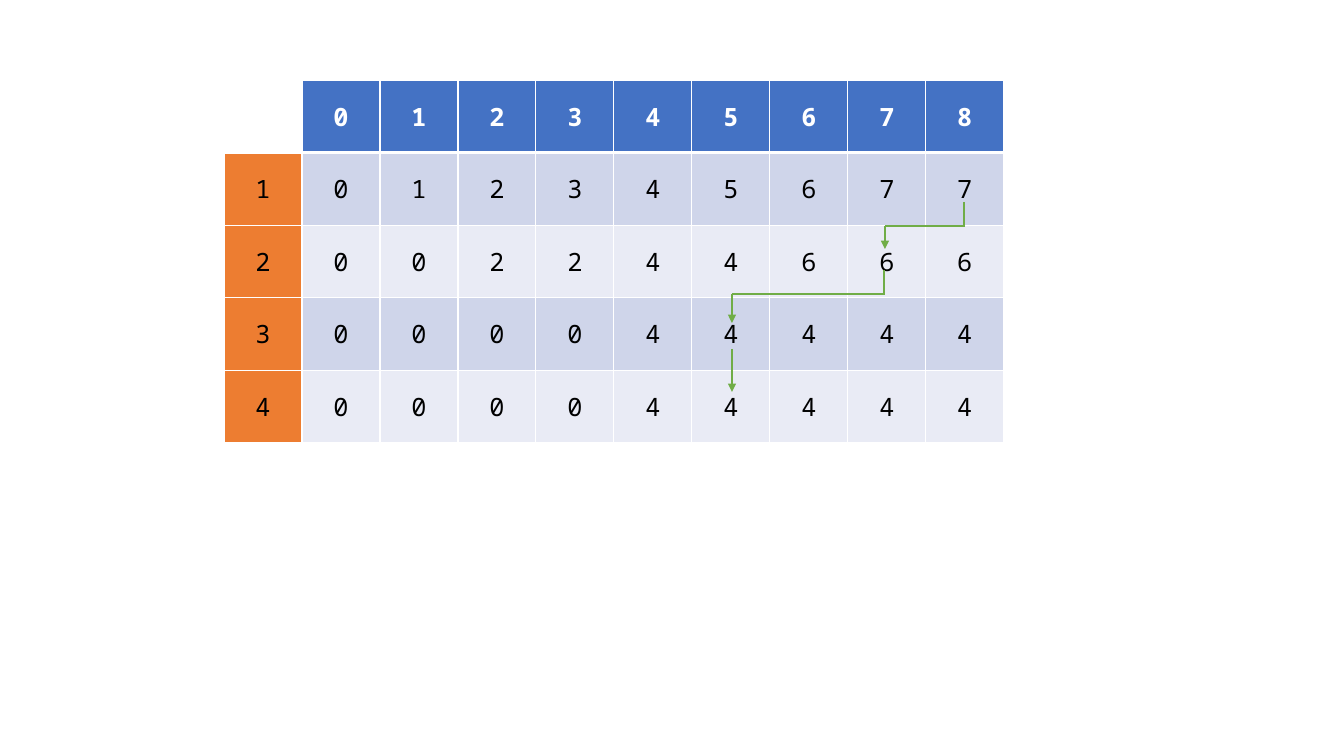
from lxml.etree import SubElement
from pptx import Presentation
from pptx.dml.color import RGBColor
from pptx.enum.shapes import MSO_CONNECTOR as CONNECTOR
from pptx.enum.text import MSO_ANCHOR as ANCHOR, PP_ALIGN as ALIGN
from pptx.oxml import parse_xml
from pptx.oxml.ns import nsdecls, qn
from pptx.util import Pt

CAPACITIES = ["", 0, 1, 2, 3, 4, 5, 6, 7, 8]
ITEM_ROWS = [
    [1, 0, 1, 2, 3, 4, 5, 6, 7, 7],
    [2, 0, 0, 2, 2, 4, 4, 6, 6, 6],
    [3, 0, 0, 0, 0, 4, 4, 4, 4, 4],
    [4, 0, 0, 0, 0, 4, 4, 4, 4, 4],
]
TRACE_PATHS = [
    [(964, 202), (964, 226), (885, 226), (885, 249)],
    [(884, 270), (884, 294), (732, 294), (732, 323)],
    [(732, 349), (732, 392)],
]

THEME = {
    "font": "Noto Sans Mono", "size": 18,
    "header": "4472C4", "item": "ED7D31", "bands": ["CFD5EA", "E9EBF5"],
    "white": "FFFFFF", "text": "000000", "trace": "70AD47",
    "border": 1, "header_border": 3, "trace_width": 2,
}
SLIDE_SIZE = (1344, 756)
TABLE_BOX = (224, 80, 780, 363)
CORNER_OVERLAP = 1


def px(pixels):
    """Turn pixels into EMU."""
    return round(pixels * 914400 / 100.8)


def cell_format(row, column):
    """Return the fill and the font values for a cell's place."""
    header = row == 0
    if header:
        fill = THEME["header"] if column else THEME["white"]
    else:
        fill = THEME["bands"][(row - 1) % 2] if column else THEME["item"]
    color = THEME["white"] if header else THEME["text"]
    return fill, color, {"name": THEME["font"], "size": Pt(THEME["size"]), "bold": header}


def set_borders(cell, row):
    """Draw white cell borders, thicker below the header."""
    widths = dict.fromkeys("LRTB", THEME["border"])
    if row < 2:
        widths["B" if row == 0 else "T"] = THEME["header_border"]
    properties = cell._tc.get_or_add_tcPr()
    for index, (side, width) in enumerate(widths.items()):
        properties.insert(index, parse_xml(
            f'<a:ln{side} {nsdecls("a")} w="{Pt(width)}"><a:solidFill>'
            f'<a:srgbClr val="{THEME["white"]}"/></a:solidFill></a:ln{side}>'))


def fill_cell(cell, value, row, column):
    """Write one value and style its cell."""
    fill, color, font_values = cell_format(row, column)
    cell.fill.solid()
    cell.fill.fore_color.rgb = RGBColor.from_string(fill)
    cell.vertical_anchor = ANCHOR.MIDDLE
    set_borders(cell, row)
    paragraph = cell.text_frame.paragraphs[0]
    paragraph.alignment = ALIGN.CENTER
    if value == "":
        return
    run = paragraph.add_run()
    run.text = str(value)
    run.font.color.rgb = RGBColor.from_string(color)
    for name, setting in font_values.items():
        setattr(run.font, name, setting)


def add_value_table(slide):
    """Add the table with equal rows and columns."""
    rows = [CAPACITIES] + ITEM_ROWS
    box = [px(length) for length in TABLE_BOX]
    table = slide.shapes.add_table(len(rows), len(CAPACITIES), *box).table
    for column in table.columns:
        column.width = px(TABLE_BOX[2] / len(CAPACITIES))
    for row in table.rows:
        row.height = px(TABLE_BOX[3] / len(rows))
    for row, values in enumerate(rows):
        for column, value in enumerate(values):
            fill_cell(table.cell(row, column), value, row, column)


def add_segment(shapes, start, end, arrow):
    """Add one straight stretch of a trace path."""
    (x1, y1), (x2, y2) = start, end
    if y1 == y2:
        x1 += CORNER_OVERLAP
    line = shapes.add_connector(CONNECTOR.STRAIGHT, px(x1), px(y1), px(x2), px(y2))
    line.line.color.rgb = RGBColor.from_string(THEME["trace"])
    line.line.width = Pt(THEME["trace_width"])
    if arrow:
        SubElement(line.get_or_add_ln(), qn("a:tailEnd"), type="triangle")
    SubElement(line._element.spPr, qn("a:effectLst"))


def add_trace(slide, points):
    """Add a path that ends in an arrow, grouped if it bends."""
    segments = list(zip(points, points[1:]))
    shapes = slide.shapes.add_group_shape().shapes if len(segments) > 1 else slide.shapes
    for number, (start, end) in enumerate(segments, 1):
        add_segment(shapes, start, end, arrow=number == len(segments))


def main():
    """Build and save the slide."""
    presentation = Presentation()
    presentation.slide_width, presentation.slide_height = map(px, SLIDE_SIZE)
    slide = presentation.slides.add_slide(presentation.slide_layouts[6])
    add_value_table(slide)
    for points in TRACE_PATHS:
        add_trace(slide, points)
    presentation.save("out.pptx")


main()
